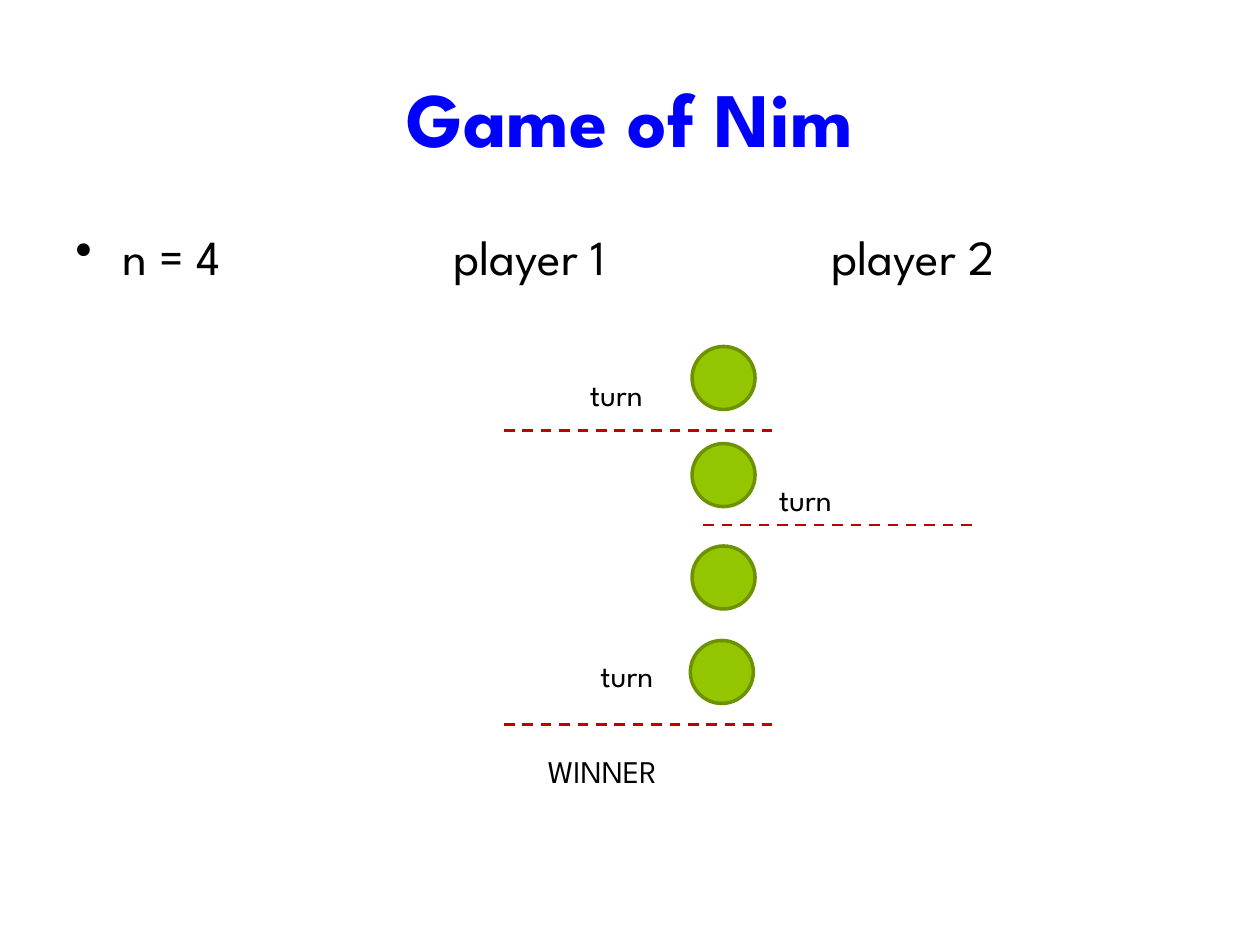
from dataclasses import dataclass

from lxml.etree import SubElement
from pptx import Presentation
from pptx.dml.color import RGBColor
from pptx.enum.dml import MSO_LINE
from pptx.enum.shapes import MSO_CONNECTOR, MSO_SHAPE
from pptx.enum.text import MSO_ANCHOR, PP_ALIGN
from pptx.oxml.ns import qn
from pptx.util import Pt


@dataclass(frozen=True)
class Theme:
    font: str = "League Spartan"
    title: str = "0000FF"
    text: str = "000000"
    token: str = "94C600"
    token_edge: str = "6D9200"
    divider: str = "C00000"
    title_size: int = 44
    body_size: int = 28
    label_size: int = 18


class NimSlide:
    """Draws the elements of a Nim game slide in one style."""

    def __init__(self, slide, theme):
        self.slide = slide
        self.theme = theme

    def text(self, words, left, top, width, height, size, color=None, wrap=True):
        box = self.slide.shapes.add_textbox(Pt(left), Pt(top), Pt(width), Pt(height))
        box.text_frame.word_wrap = wrap
        paragraph = box.text_frame.paragraphs[0]
        paragraph.text = words
        paragraph.font.name = self.theme.font
        paragraph.font.size = Pt(size)
        paragraph.font.color.rgb = RGBColor.from_string(color or self.theme.text)
        return box.text_frame, paragraph

    def title(self, words):
        frame, paragraph = self.text(
            words, 36, 21.6, 648, 90, self.theme.title_size, self.theme.title
        )
        frame.vertical_anchor = MSO_ANCHOR.MIDDLE
        paragraph.alignment = PP_ALIGN.CENTER
        paragraph.font.bold = True

    def bullet(self, words):
        _, paragraph = self.text(words, 36, 126, 648, 356.4, self.theme.body_size)
        paragraph.space_before = Pt(5.6)
        properties = paragraph._p.get_or_add_pPr()
        properties.set("marL", str(Pt(27)))
        properties.set("indent", str(-Pt(27)))
        properties.set("defTabSz", str(Pt(72)))
        mark = SubElement(properties, qn("a:buChar"))
        mark.set("char", "•")
        properties.insert_element_before(mark, "a:tabLst", "a:defRPr", "a:extLst")

    def label(self, words, left, top, width):
        self.text(words, left, top, width, 28.8, self.theme.label_size, wrap=False)

    def token(self, left, top):
        shape = self.slide.shapes.add_shape(
            MSO_SHAPE.FLOWCHART_CONNECTOR, Pt(left), Pt(top), Pt(36), Pt(36)
        )
        shape.shadow.inherit = False
        shape.fill.solid()
        shape.fill.fore_color.rgb = RGBColor.from_string(self.theme.token)
        shape.line.color.rgb = RGBColor.from_string(self.theme.token_edge)
        shape.line.width = Pt(2)

    def divider(self, left, top):
        line = self.slide.shapes.add_connector(
            MSO_CONNECTOR.STRAIGHT, Pt(left), Pt(top), Pt(left + 156), Pt(top)
        )
        line.line.color.rgb = RGBColor.from_string(self.theme.divider)
        line.line.width = Pt(1.5)
        line.line.dash_style = MSO_LINE.DASH
        SubElement(line._element.spPr, qn("a:effectLst"))


presentation = Presentation()
presentation.slide_width = Pt(720)
presentation.slide_height = Pt(540)
slide = presentation.slides.add_slide(presentation.slide_layouts[6])
nim = NimSlide(slide, Theme())

nim.title("Game of Nim")
nim.bullet("n = 4\t\tplayer 1\t\tplayer 2")

for left, top in ((395.5, 198), (395.5, 253.5), (395.5, 312), (394.5, 366)):
    nim.token(left, top)

nim.label("WINNER", 306, 426, 83.5)
for left, top in ((330, 211), (438, 271), (336, 371.5)):
    nim.label("turn", left, top, 48)

for left, top in ((288, 246), (402, 300), (288, 414)):
    nim.divider(left, top)

presentation.save("out.pptx")
